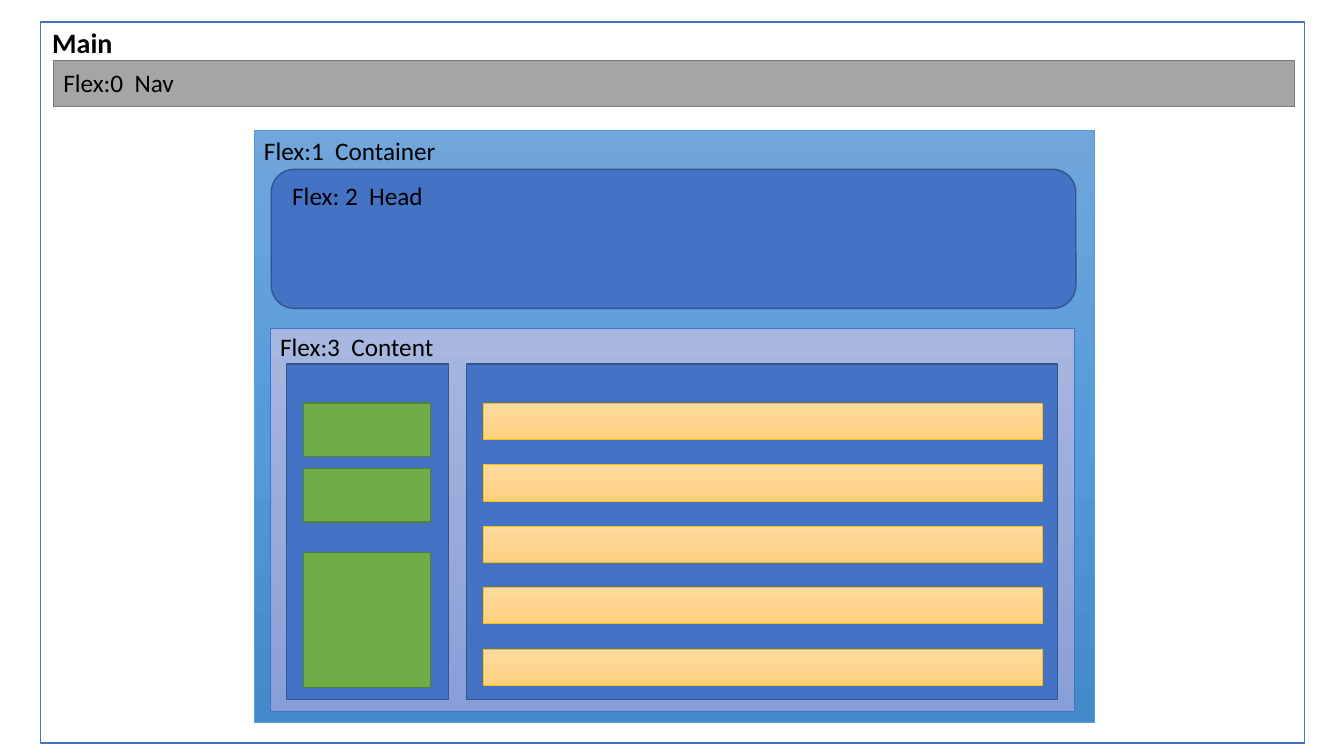
from copy import deepcopy
from dataclasses import dataclass

from pptx import Presentation
from pptx import util as u
from pptx.dml.color import RGBColor
from pptx.enum import shapes, text
from pptx.oxml.ns import qn


@dataclass(frozen=True)
class Theme:
    font: str = "Calibri"
    title_size: int = 20
    label_size: int = 18
    ink: str = "000000"
    white: str = "FFFFFF"
    blue: str = "4472C4"
    blue_edge: str = "325491"
    gray: str = "A5A5A5"
    gray_edge: str = "7A7A7A"
    green: str = "70AD47"
    green_edge: str = "538035"
    sky: tuple = ("71A6DB", "559BDB", "448ACA")
    sky_edge: str = "5B9BD5"
    lavender: tuple = ("A8B7DF", "9AABD9", "889ED7")
    amber: tuple = ("FFDB9E", "FFD590", "FFD07C")
    amber_edge: str = "FFC000"


@dataclass(frozen=True)
class Box:
    left: float
    top: float
    width: float
    height: float

    def inner(self, left, top, width, height):
        """Return a box whose offset is measured from this one's corner."""
        return Box(self.left + left, self.top + top, width, height)

    def lengths(self):
        return [u.Inches(n) for n in (self.left, self.top, self.width, self.height)]


THEME = Theme()
RECT = shapes.MSO_SHAPE.RECTANGLE
ROUNDED = shapes.MSO_SHAPE.ROUNDED_RECTANGLE


def fill_gradient(shape, colors):
    """Fill from top to bottom with three evenly spaced colours."""
    shape.fill.gradient()
    shape.fill.gradient_angle = 270
    stop_list = shape.fill._xPr.find(qn("a:gradFill")).find(qn("a:gsLst"))
    stop_list.insert(1, deepcopy(stop_list[0]))
    for stop, position, color in zip(shape.fill.gradient_stops, (0, 0.5, 1), colors):
        stop.position = position
        stop.color.rgb = RGBColor.from_string(color)


def add_panel(page, box, fill, edge, weight=1, kind=RECT):
    shape = page.shapes.add_shape(kind, *box.lengths())
    shape.shadow.inherit = False
    if isinstance(fill, tuple):
        fill_gradient(shape, fill)
    else:
        shape.fill.solid()
        shape.fill.fore_color.rgb = RGBColor.from_string(fill)
    shape.line.color.rgb = RGBColor.from_string(edge)
    shape.line.width = u.Pt(weight)


def add_label(page, box, wording, size=THEME.label_size, bold=False):
    frame = page.shapes.add_textbox(*box.lengths()).text_frame
    frame.word_wrap = True
    para = frame.paragraphs[0]
    span = para.add_run()
    span.text = wording
    span.font.name = THEME.font
    span.font.size = u.Pt(size)
    span.font.bold = bold
    span.font.color.rgb = RGBColor.from_string(THEME.ink)
    return frame


def add_nav(page, box):
    add_panel(page, box, THEME.gray, THEME.gray_edge)
    add_label(page, box.inner(0, 0.02, 1.83, 0.4), "Flex:0  Nav")


def add_head(page, box):
    add_panel(page, box, THEME.blue, THEME.blue_edge, kind=ROUNDED)
    add_label(page, box.inner(0.11, 0.06, 2.94, 0.4), "Flex: 2  Head")


def add_sidebar(page, box):
    add_panel(page, box, THEME.blue, THEME.blue_edge)
    for top, height in ((0.39, 0.53), (1.04, 0.53), (1.87, 1.34)):
        card = box.inner(0.17, top, 1.26, height)
        add_panel(page, card, THEME.green, THEME.green_edge)


def add_list(page, box, rows=5, pitch=0.61):
    add_panel(page, box, THEME.blue, THEME.blue_edge)
    for row in range(rows):
        bar = box.inner(0.16, 0.39 + row * pitch, 5.55, 0.36)
        add_panel(page, bar, THEME.amber, THEME.amber_edge, 0.5)


def add_content(page, box):
    add_panel(page, box, THEME.lavender, THEME.blue, 0.5)
    add_sidebar(page, box.inner(0.16, 0.35, 1.61, 3.33))
    add_list(page, box.inner(1.95, 0.35, 5.86, 3.33))
    add_label(page, box.inner(0, -0.02, 2.62, 0.4), "Flex:3  Content")


def add_container(page, box):
    add_panel(page, box, THEME.sky, THEME.sky_edge, 0.5)
    add_label(page, box.inner(0, 0, 2.64, 0.4), "Flex:1  Container")
    add_head(page, box.inner(0.17, 0.39, 7.98, 1.38))
    add_content(page, box.inner(0.16, 1.97, 7.98, 3.8))


def add_main(page, box):
    add_panel(page, box, THEME.white, THEME.blue)
    title = add_label(page, box.inner(0.02, 0.07, 3.37, 0.31), "Main",
                      THEME.title_size, bold=True)
    title.vertical_anchor = text.MSO_ANCHOR.MIDDLE
    title.paragraphs[0].line_spacing = 0.9
    add_nav(page, box.inner(0.13, 0.38, 12.31, 0.46))
    add_container(page, box.inner(2.12, 1.07, 8.33, 5.88))


def main():
    deck = Presentation()
    deck.slide_width, deck.slide_height = u.Inches(13.33), u.Inches(7.5)
    page = deck.slides.add_slide(deck.slide_layouts[6])
    add_main(page, Box(0.4, 0.22, 12.54, 7.15))
    deck.save("out.pptx")


if __name__ == "__main__":
    main()
